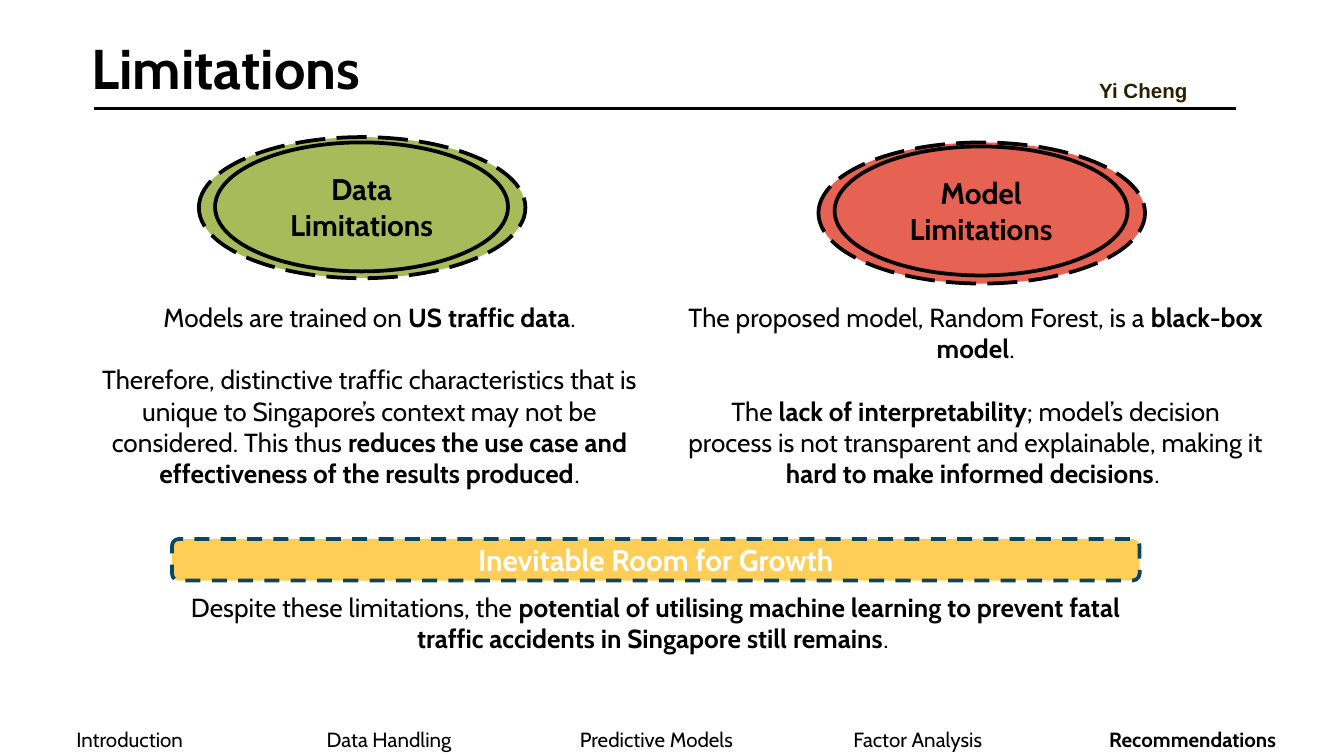
from lxml import etree
from pptx import Presentation, util as u
from pptx.dml.color import RGBColor
from pptx.enum import dml, shapes, text
from pptx.oxml.ns import qn

C = {"ink": "000000", "white": "FFFFFF", "green": "A9BA5A", "red": "E66353",
     "yellow": "FFCE56", "navy": "0C4564", "name": "2C1F00"}
CENTER = text.PP_ALIGN.CENTER


def write(tf, paras, size, color="ink", font="Cabin", align=CENTER, gap=0, inset=0.05):
    tf.word_wrap = True
    tf.auto_size = text.MSO_AUTO_SIZE.NONE
    tf.margin_left = tf.margin_right = u.Inches(0.1)
    tf.margin_top = tf.margin_bottom = u.Inches(inset)
    for i, para in enumerate(paras):
        p = tf.add_paragraph() if i else tf.paragraphs[0]
        p.alignment = align
        p.space_before = u.Pt(gap if i else 0)
        for j, part in enumerate(para.split("**")):
            if part:
                r = p.add_run()
                r.text = part
                r.font.name, r.font.size, r.font.bold = font, u.Pt(size), j % 2 == 1
                r.font.color.rgb = RGBColor.from_string(C[color])


def add_shape(kind, x, y, w, h, fill, line="ink", dash=None):
    sp = s.shapes.add_shape(kind, *map(u.Inches, (x, y, w, h)))
    sp.shadow.inherit = False
    sp.fill.solid()
    sp.fill.fore_color.rgb = RGBColor.from_string(C[fill])
    sp.line.color.rgb = RGBColor.from_string(C[line])
    sp.line.width = u.Pt(2)
    if dash:
        sp.line.dash_style = dash
    sp.text_frame.vertical_anchor = text.MSO_ANCHOR.MIDDLE
    return sp


prs = Presentation()
prs.slide_width, prs.slide_height = u.Inches(10), u.Inches(10 * 9 / 16)
s = prs.slides.add_slide(prs.slide_layouts[5])

title = s.shapes.title
title.left, title.top, title.width, title.height = map(u.Inches, (0.58, 0.19, 8.43, 0.62))
title.text_frame.vertical_anchor = text.MSO_ANCHOR.MIDDLE
write(title.text_frame, ["**Limitations**"], 30, align=text.PP_ALIGN.LEFT, inset=0.1)

rule = s.shapes.add_connector(shapes.MSO_CONNECTOR.STRAIGHT,
                              *map(u.Inches, (0.7, 0.81, 9.2, 0.81)))
rule.line.color.rgb = RGBColor.from_string(C["ink"])
rule.line.width = u.Pt(1.5)
etree.SubElement(rule._element.spPr, qn("a:effectLst"))

columns = [
    ("Data Limitations", "green", 1.48, 1.02, 1.06, 0.5, 1.51, [
        "Models are trained on **US traffic data**.",
        "Therefore, distinctive traffic characteristics that is unique to Singapore’s context "
        "may not be considered. This thus **reduces the use case and effectiveness of the "
        "results produced**."]),
    ("Model Limitations", "red", 6.09, 1.06, 1.09, 5.01, 1.99, [
        "The proposed model, Random Forest, is a **black-box model**.",
        "The **lack of interpretability**; model’s decision process is not transparent and "
        "explainable, making it **hard to make informed decisions**. "]),
]
for heading, fill, x, y, inner_y, text_x, text_h, paras in columns:
    oval = shapes.MSO_SHAPE.OVAL
    add_shape(oval, x, y, 2.43, 1.05, fill, dash=dml.MSO_LINE.LONG_DASH)
    sp = add_shape(oval, x + 0.12, inner_y, 2.18, 0.96, fill)
    write(sp.text_frame, [f"**{heading}**"], 16)
    body = s.shapes.add_textbox(*map(u.Inches, (text_x, 2.19, 4.5, text_h)))
    write(body.text_frame, paras, 14, gap=16.8)

banner = add_shape(shapes.MSO_SHAPE.ROUNDED_RECTANGLE, 1.28, 4.01, 7.2, 0.31,
                   "yellow", "navy", dml.MSO_LINE.DASH)
write(banner.text_frame, ["**Inevitable Room for Growth**"], 16, "white")

closing = s.shapes.add_textbox(*map(u.Inches, (1.28, 4.35, 7.2, 0.57)))
write(closing.text_frame, [
    "Despite these limitations, the **potential of utilising machine learning to prevent "
    "fatal traffic accidents in Singapore still remains**. "], 14)

author = s.shapes.add_textbox(*map(u.Inches, (8.08, 0.48, 0.9, 0.45)))
write(author.text_frame, ["**Yi Cheng**"], 11, "name", "Arial", text.PP_ALIGN.LEFT, inset=0.1)

sections = [("Introduction", 1.93), ("Data Handling", 1.93), ("Predictive Models", 2.05),
            ("Factor Analysis", 1.84), ("**Recommendations**", 2.25)]
table = s.shapes.add_table(1, len(sections), *map(u.Inches, (0, 5.36, 10, 0.41))).table
table.first_row = table.horz_banding = False
for i, (label, width) in enumerate(sections):
    table.columns[i].width = u.Inches(width)
    cell = table.cell(0, i)
    cell.fill.background()
    write(cell.text_frame, [label], 11)

prs.save("out.pptx")
